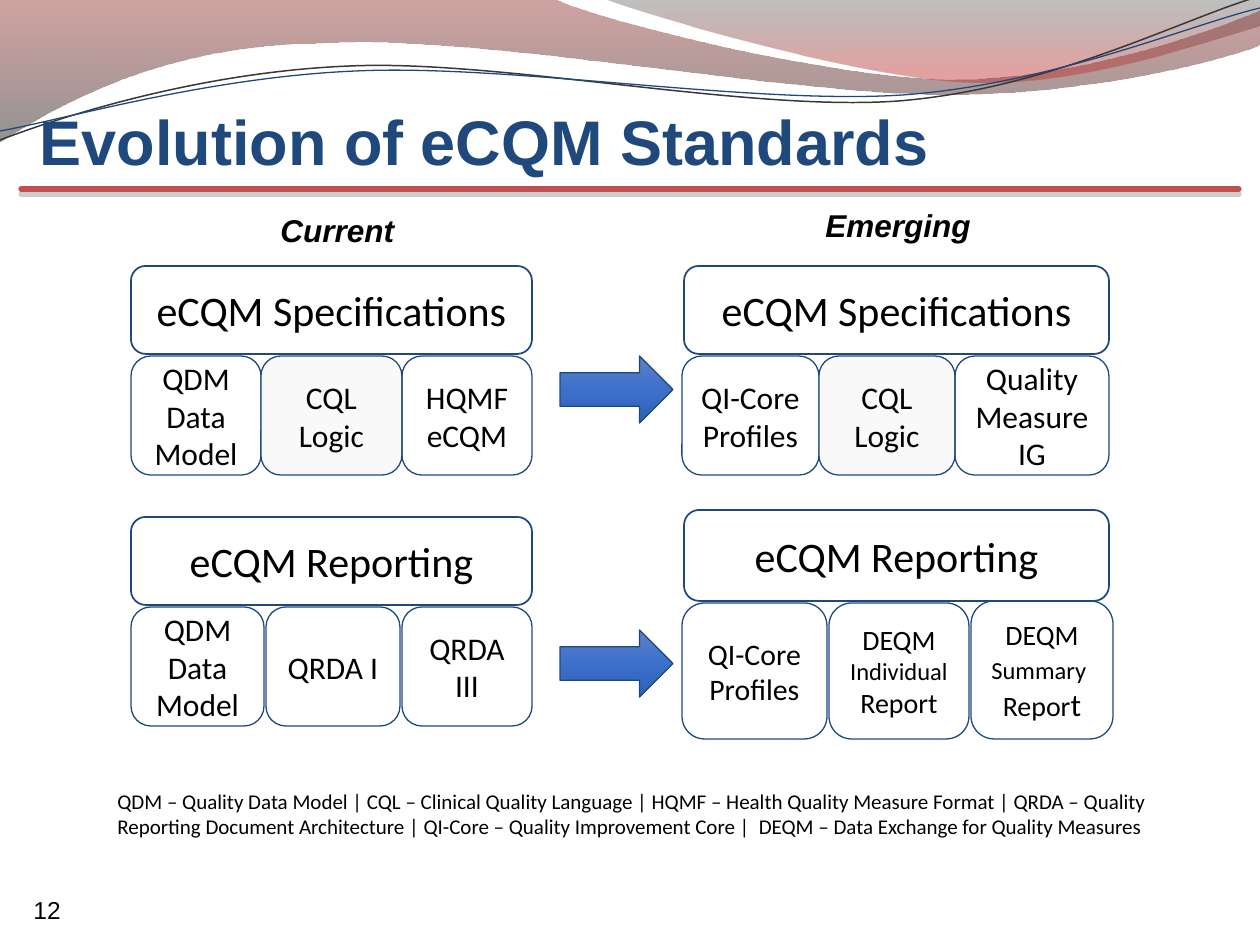
from lxml.etree import SubElement
from pptx import Presentation
from pptx.dml.color import RGBColor
from pptx.enum.shapes import MSO_CONNECTOR, MSO_SHAPE
from pptx.enum.text import MSO_ANCHOR, MSO_AUTO_SIZE, PP_ALIGN
from pptx.oxml.ns import qn
from pptx.util import Emu, Pt

SCALE = 914400 / 126
NAVY, BLACK, RED, PALE = "1F497D", "000000", "C0504D", "FAF9F9"
ARROW_STOPS = [(0, "5F82CA", 100), (50, "3C70CA", 100), (100, "2E60B9", 100)]


def px(length):
    return Emu(round(length * SCALE))


def color(value):
    return RGBColor.from_string(value)


class SlideBuilder:
    def __init__(self, page):
        self.page = page
        self.shapes = page.shapes

    def outline(self, shape, line, width):
        if line:
            shape.line.color.rgb = color(line)
            shape.line.width = Pt(width)
        else:
            shape.line.fill.background()

    def gradient(self, shape, stops):
        shape.fill.gradient()
        shape.fill.gradient_angle = 270
        stop_list = shape._element.spPr.find(qn("a:gradFill")).find(qn("a:gsLst"))
        for old in list(stop_list):
            stop_list.remove(old)
        for position, value, opacity in stops:
            stop = SubElement(stop_list, qn("a:gs"), pos=str(position * 1000))
            paint = SubElement(stop, qn("a:srgbClr"), val=value)
            SubElement(paint, qn("a:alpha"), val=str(opacity * 1000))

    def freeform(self, start, *parts, stops=None, line=None, width=1):
        """Each part is a straight step (x, y) or a cubic (x1, y1, x2, y2, x, y)."""
        builder = self.shapes.build_freeform(*start, scale=SCALE)
        points = [part[i:i + 2] for part in parts for i in range(0, len(part), 2)]
        builder.add_line_segments(points, close=bool(stops))
        shape = builder.convert_to_shape()
        steps = iter(list(shape._element.iter(qn("a:lnTo"))))
        for part in parts:
            step = next(steps)
            if len(part) == 6:
                step.tag = qn("a:cubicBezTo")
                for _ in range(2):
                    extra = next(steps)
                    extra.getparent().remove(extra)
                    step.append(extra[0])
        shape.shadow.inherit = False
        if stops:
            self.gradient(shape, stops)
        else:
            shape.fill.background()
        self.outline(shape, line, width)

    def rule(self, left, right, y):
        line = self.shapes.add_connector(
            MSO_CONNECTOR.STRAIGHT, px(left), px(y), px(right), px(y))
        self.outline(line, RED, 3)
        line.line._get_or_add_ln().set("cap", "rnd")
        effects = SubElement(line._element.spPr, qn("a:effectLst"))
        shadow = SubElement(effects, qn("a:outerShdw"), blurRad="0",
                            dist=str(Pt(3)), dir="5400000", rotWithShape="0")
        paint = SubElement(shadow, qn("a:srgbClr"), val="808080")
        SubElement(paint, qn("a:alpha"), val="40000")

    def style(self, para, size, font, value=BLACK, bold=False, italic=False):
        para.font.name = font
        para.font.size = Pt(size)
        para.font.color.rgb = color(value)
        para.font.bold = bold
        para.font.italic = italic

    def title(self, left, top, width, height, text):
        box = self.shapes.title
        box.left, box.top, box.width, box.height = map(px, (left, top, width, height))
        frame = box.text_frame
        frame.text = text
        frame.auto_size = MSO_AUTO_SIZE.NONE
        frame.vertical_anchor = MSO_ANCHOR.BOTTOM
        frame.margin_left = frame.margin_right = frame.margin_bottom = 0
        frame.paragraphs[0].alignment = PP_ALIGN.LEFT
        self.style(frame.paragraphs[0], 36, "Arial", NAVY, bold=True)
        self.shapes._spTree.append(box._element)  # in front of the waves

    def text(self, left, top, width, height, text, size, font, emphasis=False):
        box = self.shapes.add_textbox(*map(px, (left, top, width, height)))
        box.text_frame.word_wrap = True
        para = box.text_frame.paragraphs[0]
        para.text = text
        self.style(para, size, font, bold=emphasis, italic=emphasis)

    def card(self, left, top, width, height, content, size, line_width=0.75, fill=None):
        """content is a string, or paragraphs made of (text, size) spans."""
        box = self.shapes.add_shape(
            MSO_SHAPE.ROUNDED_RECTANGLE, *map(px, (left, top, width, height)))
        box.shadow.inherit = False
        if fill:
            box.fill.solid()
            box.fill.fore_color.rgb = color(fill)
        else:
            box.fill.background()
        self.outline(box, NAVY, line_width)
        frame = box.text_frame
        frame.word_wrap = True
        frame.vertical_anchor = MSO_ANCHOR.MIDDLE
        paragraphs = [[(content, size)]] if isinstance(content, str) else content
        for index, spans in enumerate(paragraphs):
            para = frame.add_paragraph() if index else frame.paragraphs[0]
            para.alignment = PP_ALIGN.CENTER
            self.style(para, size, "Calibri")
            for words, span_size in spans:
                span = para.add_run()
                span.text = words
                if span_size != size:
                    span.font.size = Pt(span_size)

    def arrow(self, left, top):
        shape = self.shapes.add_shape(
            MSO_SHAPE.RIGHT_ARROW, px(left), px(top), px(113), px(67))
        shape.shadow.inherit = False
        self.gradient(shape, ARROW_STOPS)
        self.outline(shape, NAVY, 0.75)


def main():
    deck = Presentation()
    deck.slide_width, deck.slide_height = px(1260), px(945)
    slide = SlideBuilder(deck.slides.add_slide(deck.slide_layouts[5]))

    # Waves across the top
    slide.freeform(
        (0, -1), (554, -1), (600, 21, 837, 79, 955, 79),
        (1075, 79, 1207, 33, 1260, 11), (1261, 45),
        (1239, 55, 1096, 96, 940, 94), (783, 94, 481, 35, 324, 43),
        (163, 44, 58, 105, -1, 142),
        stops=[(0, "973330", 45), (100, "393939", 55)])
    slide.freeform(
        (604, -1), (641, 14, 859, 78, 969, 82),
        (1079, 87, 1211, 40, 1260, 26), (1260, 0),
        stops=[(0, "2F2F2F", 30), (80, "BE3330", 45)])
    slide.freeform(
        (0, 140), (60, 117, 199, 72, 349, 66), (498, 59, 747, 112, 898, 101),
        (1050, 89, 1182, 19, 1257, -3), line="383838", width=0.85)
    slide.freeform(
        (0, 131), (59, 121, 207, 77, 357, 71), (508, 64, 752, 105, 903, 95),
        (1053, 84, 1186, 26, 1260, 8), line=NAVY, width=0.75)

    # Title, rule and column headings
    slide.rule(21, 1239, 189)
    slide.title(40, 73, 1210, 105, "Evolution of eCQM Standards")
    slide.text(268, 205, 141, 50, "Current", 18, "Arial", emphasis=True)
    slide.text(813, 200, 179, 50, "Emerging", 18, "Arial", emphasis=True)

    # Standards: a heading card over a row of part cards
    individual = [[("DEQM", 16), (" Individual ", 14)], [("Report", 16)]]
    summary = [[("DEQM ", 16), ("Summary", 14), (" ", 16)], [("Repor", 16), ("t", 18)]]
    groups = [
        ((131, 266, 401, 88), "eCQM Specifications", 356, 119,
         [(131, 130, "QDM Data Model", 18), (261, 141, "CQL Logic", 18),
          (402, 130, "HQMF eCQM", 18)]),
        ((684, 266, 425, 88), "eCQM Specifications", 356, 119,
         [(682, 137, "QI-Core Profiles", 18), (819, 136, "CQL Logic", 18),
          (955, 154, "Quality Measure IG", 18)]),
        ((131, 517, 401, 88), "eCQM Reporting", 607, 119,
         [(131, 133, "QDM Data Model", 18), (266, 134, "QRDA I", 18),
          (402, 130, "QRDA III", 18)]),
        ((684, 510, 425, 91), "eCQM Reporting", 603, 136,
         [(682, 145, "QI-Core Profiles", 17), (829, 140, individual, 16)]),
    ]
    for heading_place, heading, top, height, parts in groups:
        slide.card(*heading_place, heading, 24, line_width=1)
        for left, width, content, size in parts:
            fill = PALE if content == "CQL Logic" else None
            slide.card(left, top, width, height, content, size, fill=fill)
    slide.card(971, 601, 142, 138, summary, 16)  # slightly taller than its row

    # Arrows from current to emerging
    for top in (356, 630):
        slide.arrow(560, top)

    # Abbreviations and page number
    slide.text(105, 782, 1092, 89,
               "QDM – Quality Data Model | CQL – Clinical Quality Language | "
               "HQMF – Health Quality Measure Format | QRDA – Quality Reporting "
               "Document Architecture | QI-Core – Quality Improvement Core |  "
               "DEQM – Data Exchange for Quality Measures", 12, "Calibri")
    slide.text(21, 889, 105, 50, "12", 14, "Arial")

    deck.save("out.pptx")


if __name__ == "__main__":
    main()
